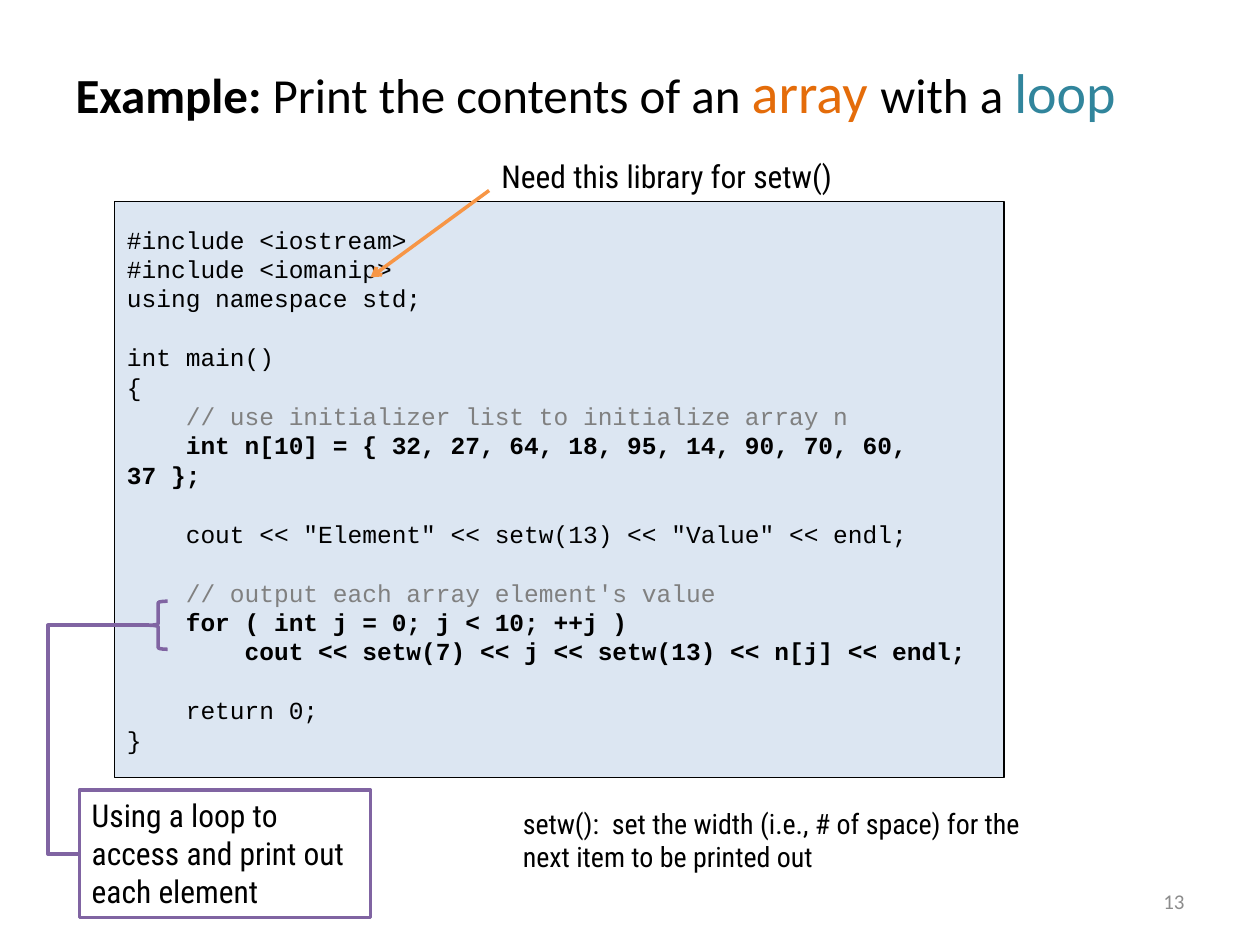
from lxml.etree import SubElement
from pptx import Presentation
from pptx.dml.color import RGBColor
from pptx.enum.shapes import MSO_CONNECTOR, MSO_SHAPE
from pptx.enum.text import MSO_ANCHOR, PP_ALIGN
from pptx.oxml.ns import qn
from pptx.util import Cm, Pt

COLORS = {
    "black": "000000",
    "white": "FFFFFF",
    "array": "E46C0A",
    "loop": "31859C",
    "code": "DCE6F2",
    "comment": "808080",
    "number": "8C8C8C",
    "purple": "8064A2",
    "orange": "F79646",
}
BODY_FONT, CODE_FONT, NOTE_FONT = "Calibri", "Courier New", "Roboto Condensed"
CODE_LINE_HEIGHT = Pt(16.8)

TITLE = [
    ("Example: ", 28, "black", True),
    ("Print the contents of an ", 28, "black", False),
    ("array ", 32, "array", False),
    ("with a ", 28, "black", False),
    ("loop", 32, "loop", False),
]
CODE = """#include <iostream>
#include <iomanip>
using namespace std;

int main()
{
    // use initializer list to initialize array n
    int n[10] = { 32, 27, 64, 18, 95, 14, 90, 70, 60, 37 };

    cout << "Element" << setw(13) << "Value" << endl;

    // output each array element's value
    for ( int j = 0; j < 10; ++j )
        cout << setw(7) << j << setw(13) << n[j] << endl;

    return 0;
}"""
BOLD_STARTS = ("int n[10]", "for (", "cout << setw(7)")


def color(name):
    return RGBColor.from_string(COLORS[name])


def format_run(run, font_name, size, color_name, bold=False):
    run.font.name = font_name
    run.font.size = Pt(size)
    run.font.bold = bold
    run.font.color.rgb = color(color_name)


def add_title(slide):
    """Write the heading in the body placeholder, without its bullet."""
    slide.shapes.title.element.getparent().remove(slide.shapes.title.element)
    body = slide.placeholders[1]
    body.left, body.top, body.width, body.height = Cm(1.27), Cm(1.04), Cm(22.86), Cm(15.98)
    paragraph = body.text_frame.paragraphs[0]
    properties = paragraph._p.get_or_add_pPr()
    properties.set("marL", "0")
    properties.set("indent", "0")
    SubElement(properties, qn("a:buNone"))
    paragraph.space_before = Pt(0)
    for text, size, color_name, bold in TITLE:
        run = paragraph.add_run()
        run.text = text
        format_run(run, BODY_FONT, size, color_name, bold)


def add_shape(slide, preset, left, top, width, height, line, line_width, fill=None):
    shape = slide.shapes.add_shape(preset, Cm(left), Cm(top), Cm(width), Cm(height))
    shape.shadow.inherit = False
    shape.line.color.rgb = color(line)
    shape.line.width = Pt(line_width)
    if fill:
        shape.fill.solid()
        shape.fill.fore_color.rgb = color(fill)
    else:
        shape.fill.background()
    return shape


def write_text(shape, text, size, font_name=NOTE_FONT, color_name="black",
               align=PP_ALIGN.LEFT, anchor=MSO_ANCHOR.TOP):
    text_frame = shape.text_frame
    text_frame.word_wrap = True
    text_frame.vertical_anchor = anchor
    text_frame.text = text
    paragraph = text_frame.paragraphs[0]
    paragraph.alignment = align
    format_run(paragraph.runs[0], font_name, size, color_name)


def add_text(slide, left, top, width, height, text, size, **style):
    box = slide.shapes.add_textbox(Cm(left), Cm(top), Cm(width), Cm(height))
    write_text(box, text, size, **style)


def add_code(slide):
    """Draw the listing; a blank source line becomes space before the next one."""
    panel = add_shape(slide, MSO_SHAPE.RECTANGLE, 2.31, 4.06, 17.93, 11.61,
                      "black", 0.75, "code")
    text_frame = panel.text_frame
    text_frame.word_wrap = True
    text_frame.vertical_anchor = MSO_ANCHOR.MIDDLE
    text_frame.text = CODE.replace("\n\n", "\n")
    after_blank = {block.split("\n")[0] for block in CODE.split("\n\n")[1:]}
    for paragraph in text_frame.paragraphs:
        paragraph.alignment = PP_ALIGN.LEFT
        if paragraph.text in after_blank:
            paragraph.space_before = CODE_LINE_HEIGHT
        statement = paragraph.text.strip()
        color_name = "comment" if statement.startswith("//") else "black"
        format_run(paragraph.runs[0], CODE_FONT, 14, color_name,
                   statement.startswith(BOLD_STARTS))


def add_connector(slide, kind, begin, end, color_name):
    connector = slide.shapes.add_connector(kind, *map(Cm, begin + end))
    connector.line.color.rgb = color(color_name)
    connector.line.width = Pt(2)
    SubElement(connector.element.spPr, qn("a:effectLst"))
    return connector


def add_loop_note(slide):
    """Draw the brace at the loop, its note and the elbow that joins them."""
    brace = add_shape(slide, MSO_SHAPE.LEFT_BRACE, 3, 12.12, 0.38, 0.97, "purple", 2)
    note = add_shape(slide, MSO_SHAPE.RECTANGLE, 1.6, 15.93, 5.87, 2.57,
                     "purple", 2, "white")
    write_text(note, "Using a loop to access and print out each element", 18)
    elbow = add_connector(slide, MSO_CONNECTOR.ELBOW, (3, 12.6), (1.6, 17.21), "purple")
    elbow.begin_connect(brace, 1)
    elbow.end_connect(note, 1)
    adjustments = elbow.element.spPr.find(qn("a:prstGeom")).get_or_add_avLst()
    SubElement(adjustments, qn("a:gd"), name="adj1", fmla="val 145300")


def add_library_arrow(slide):
    arrow = add_connector(slide, MSO_CONNECTOR.STRAIGHT, (9.86, 3.84), (7.47, 5.59), "orange")
    SubElement(arrow.line._get_or_add_ln(), qn("a:tailEnd"), type="arrow")


def main():
    presentation = Presentation()
    presentation.slide_width, presentation.slide_height = Cm(25.4), Cm(19.05)
    slide = presentation.slides.add_slide(presentation.slide_layouts[1])
    add_title(slide)
    add_text(slide, 18.21, 17.65, 5.92, 1.02, "13", 12, font_name=BODY_FONT,
             color_name="number", align=PP_ALIGN.RIGHT, anchor=MSO_ANCHOR.MIDDLE)
    add_code(slide)
    add_text(slide, 10.29, 16.13, 11.58, 1.63,
             "setw():  set the width (i.e., # of space) for the next item to be printed out", 16)
    add_loop_note(slide)
    add_text(slide, 9.86, 3.05, 7.49, 1.02, "Need this library for setw()", 18)
    add_library_arrow(slide)
    presentation.save("out.pptx")


if __name__ == "__main__":
    main()
